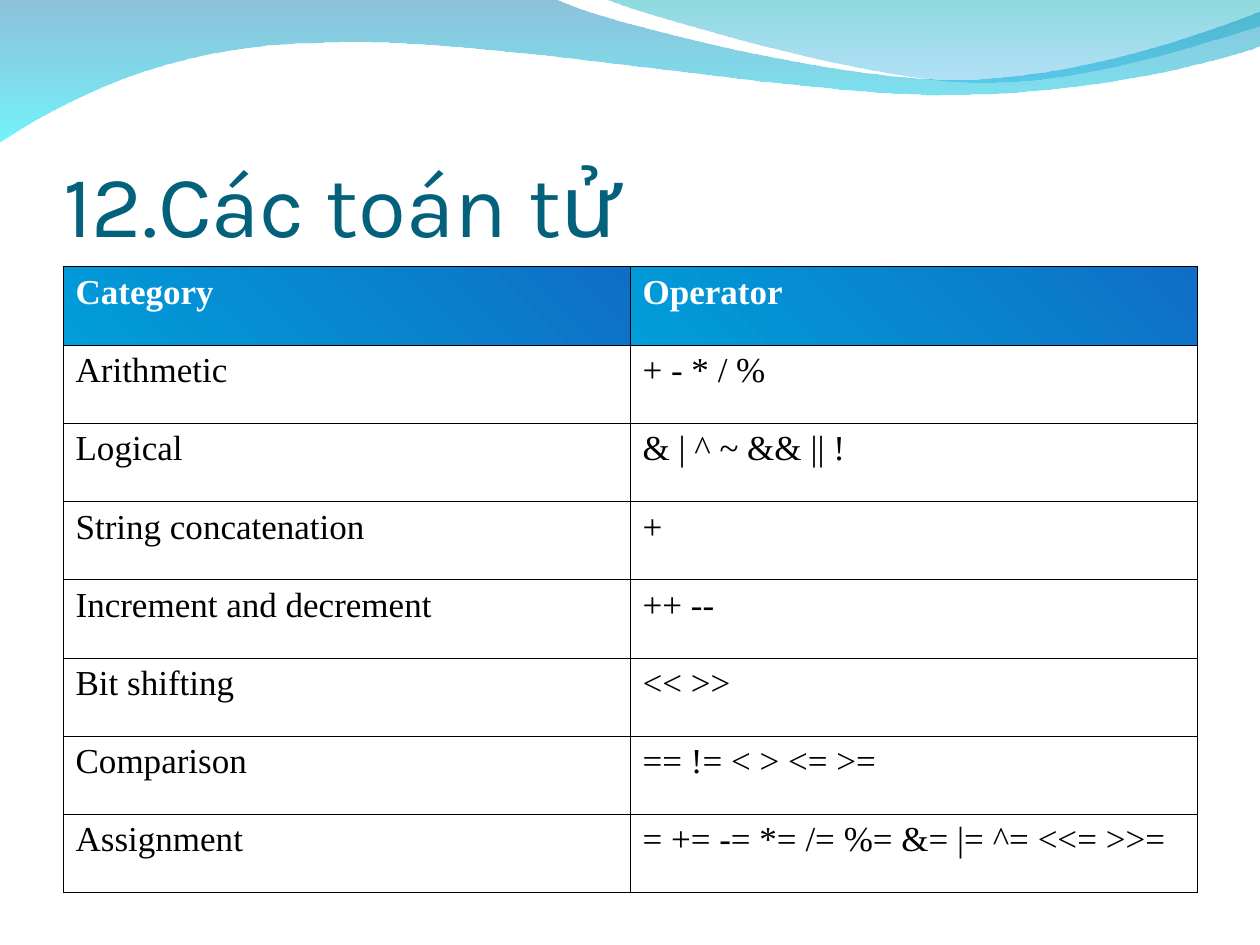
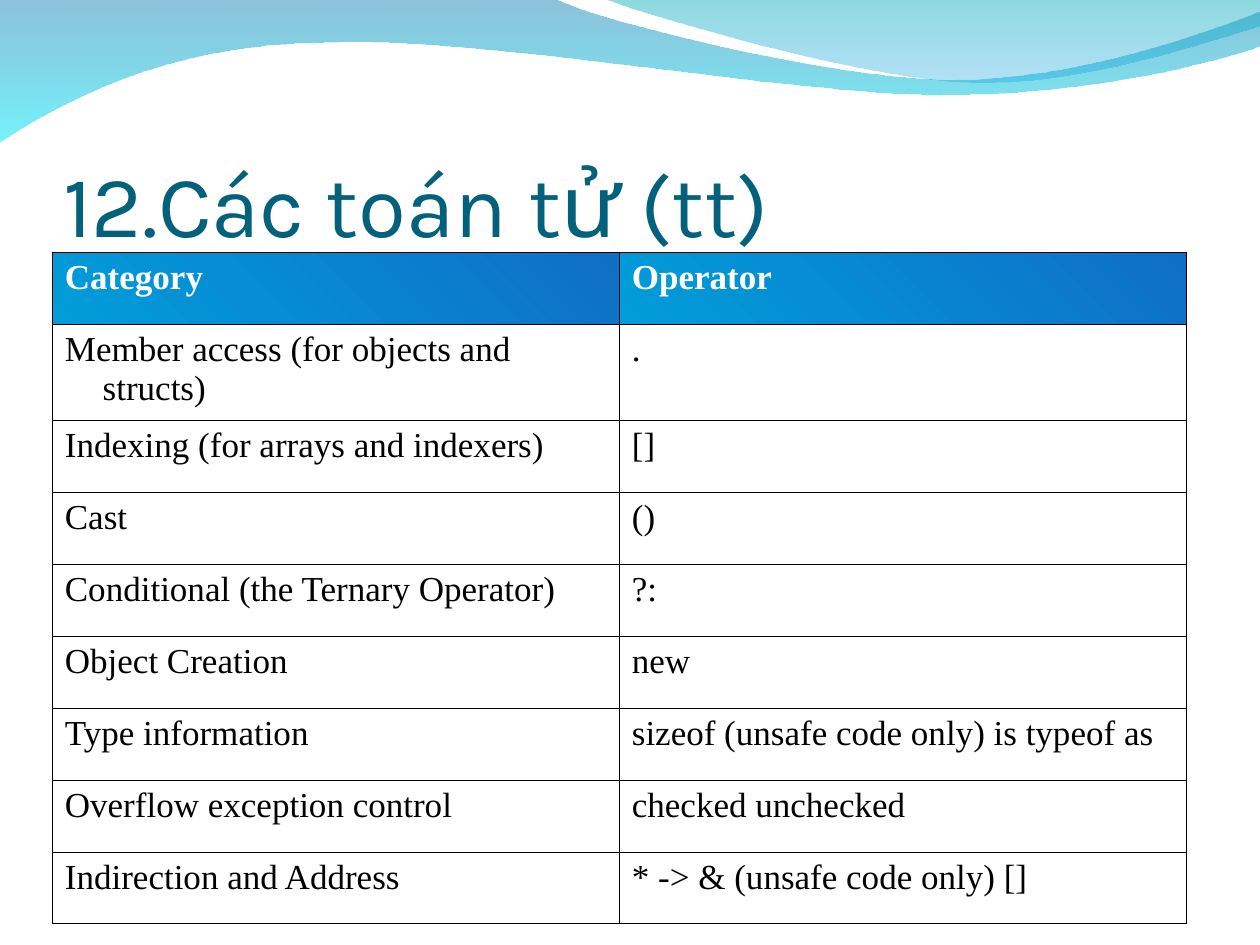
import pptx
import pptx.util
import pptx.dml.color
import pptx.enum.text
import pptx.oxml
import pptx.oxml.ns

COLORS = {
    "title": "04617B", "head_text": "FFFFFF", "text": "000000", "border": "000000",
    "head_dark": "0F6FC6", "head_light": "009DD9",
    "wave_blue": "0079AF", "wave_cyan": "00EBF8",
    "crest_teal": "00ADB6", "crest_sky": "009BE5",
}
COLUMNS, ROWS = 100, 75
NS = pptx.oxml.ns.nsdecls("a")

# Wave outlines in grid units: one point makes a line, three points make a curve
WAVE = [
    [(0, -0.1)],
    [(44, -0.1)],
    [(47.6, 1.7), (66.4, 6.3), (75.8, 6.3)],
    [(85.3, 6.3), (95.8, 2.6), (100, 0.9)],
    [(100.1, 3.6)],
    [(98.3, 4.4), (87, 7.6), (74.6, 7.5)],
    [(62.2, 7.5), (38.2, 2.8), (25.7, 3.4)],
    [(12.9, 3.5), (4.6, 8.3), (-0.1, 11.3)],
    [(0, -0.1)],
]
CREST = [
    [(47.9, -0.1)],
    [(50.9, 1.1), (68.2, 6.2), (76.9, 6.5)],
    [(85.6, 6.9), (96.1, 3.2), (100, 2.1)],
    [(100, 0)],
    [(47.9, -0.1)],
]

OPERATORS = [
    ("Category", "Operator"),
    ("Arithmetic", "+ - * / %"),
    ("Logical", "& | ^ ~ && || !"),
    ("String concatenation", "+"),
    ("Increment and decrement", "++ --"),
    ("Bit shifting", "<< >>"),
    ("Comparison", "== != < > <= >="),
    ("Assignment", "= += -= *= /= %= &= |= ^= <<= >>="),
]
MORE_OPERATORS = [
    ("Category", "Operator"),
    ("Member access (for objects and structs)", "."),
    ("Indexing (for arrays and indexers)", "[]"),
    ("Cast", "()"),
    ("Conditional (the Ternary Operator)", "?:"),
    ("Object Creation", "new"),
    ("Type information", "sizeof (unsafe code only) is typeof as"),
    ("Overflow exception control", "checked unchecked"),
    ("Indirection and Address", "* -> & (unsafe code only) []"),
]


def gradient(stops, angle):
    """Gradient fill element; each stop is a colour name and its opacity in percent."""
    last = len(stops) - 1
    marks = "".join(
        f'<a:gs pos="{100000 * i // last}"><a:srgbClr val="{COLORS[name]}">'
        f'<a:alpha val="{opacity * 1000}"/></a:srgbClr></a:gs>'
        for i, (name, opacity) in enumerate(stops))
    return pptx.oxml.parse_xml(
        f'<a:gradFill {NS} rotWithShape="1"><a:gsLst>{marks}</a:gsLst>'
        f'<a:lin ang="{angle * 60000}" scaled="0"/></a:gradFill>')


def bend(geometry, outline):
    """Join the three lines that stand for each curve into one Bezier segment."""
    lines = iter(list(geometry.iter(pptx.oxml.ns.qn("a:lnTo"))))
    for segment in outline[1:]:
        group = [next(lines) for _ in segment]
        if len(group) == 3:
            curve = pptx.oxml.parse_xml(f"<a:cubicBezTo {NS}/>")
            group[0].addprevious(curve)
            for line in group:
                curve.append(line[0])
                line.getparent().remove(line)


class Deck:
    def __init__(self):
        self.prs = pptx.Presentation()
        self.prs.slide_width = pptx.util.Inches(10)
        self.prs.slide_height = pptx.util.Inches(7.5)
        self.layout = self.prs.slide_layouts[5]
        self.s = None

    def x(self, columns):
        return round(self.prs.slide_width * columns / COLUMNS)

    def y(self, rows):
        return round(self.prs.slide_height * rows / ROWS)

    def slide(self):
        self.s = self.prs.slides.add_slide(self.layout)

    def run(self, p, text, font, size, color, bold=False):
        r = p.add_run()
        r.text = text
        r.font.name, r.font.size, r.font.bold = font, pptx.util.Pt(size), bold
        r.font.color.rgb = pptx.dml.color.RGBColor.from_string(COLORS[color])

    def layout_wave(self, outline, depth, stops):
        """Draw a wave and hand it to the layout, so that every slide shows it."""
        points = [(self.x(px), self.y(py)) for segment in outline for px, py in segment]
        builder = self.s.shapes.build_freeform(*points[0], scale=1.0)
        builder.add_line_segments(points[1:], close=True)
        sp = builder.convert_to_shape()
        sp.shadow.inherit = False
        sp.line.fill.background()
        geometry = sp.element.spPr.find(pptx.oxml.ns.qn("a:custGeom"))
        bend(geometry, outline)
        geometry.addnext(gradient(stops, 90))
        self.layout.shapes.element.insert(2 + depth, sp.element)

    def title(self, text):
        sp = self.s.shapes.title
        sp.left, sp.top, sp.width, sp.height = self.x(5), self.y(7.75), self.x(90), self.y(12.5)
        tf = sp.text_frame
        tf.word_wrap = True
        tf.auto_size = pptx.enum.text.MSO_AUTO_SIZE.NONE
        tf.vertical_anchor = pptx.enum.text.MSO_ANCHOR.BOTTOM
        tf.margin_left = tf.margin_right = tf.margin_bottom = 0
        p = tf.paragraphs[0]
        p.alignment = pptx.enum.text.PP_ALIGN.LEFT
        self.run(p, text, "Karla", 50, "title")

    def cell(self, cell, text, is_head):
        # Hanging indent and text
        p = cell.text_frame.paragraphs[0]
        hang = pptx.util.Inches(0.3)
        pPr = p._p.get_or_add_pPr()
        pPr.set("marL", str(hang))
        pPr.set("indent", str(-hang))
        self.run(p, text, "Times New Roman", 20, "head_text" if is_head else "text", is_head)
        # Borders, then fill
        tcPr = cell._tc.get_or_add_tcPr()
        for side in "LRTB":
            tcPr.append(pptx.oxml.parse_xml(
                f'<a:ln{side} {NS} w="{pptx.util.Pt(0.45)}"><a:solidFill>'
                f'<a:srgbClr val="{COLORS["border"]}"/></a:solidFill></a:ln{side}>'))
        if is_head:
            tcPr.append(gradient([("head_dark", 100), ("head_light", 100)], 135))
        else:
            cell.fill.background()

    def table(self, rows, left, top, heights):
        frame = self.s.shapes.add_table(len(rows), 2, self.x(left), self.y(top),
                                        self.x(90), self.y(sum(heights)))
        table = frame.table
        table.first_row = table.horz_banding = False
        for column in table.columns:
            column.width = self.x(45)
        for i, (texts, height) in enumerate(zip(rows, heights)):
            table.rows[i].height = self.y(height)
            for j, text in enumerate(texts):
                self.cell(table.cell(i, j), text, i == 0)


def main():
    deck = Deck()

    # Operators, with the waves shared by all slides
    deck.slide()
    deck.layout_wave(WAVE, 0, [("wave_blue", 45), ("wave_cyan", 55)])
    deck.layout_wave(CREST, 1, [("crest_teal", 45), ("crest_sky", 30)])
    deck.title("12.Các toán tử")
    deck.table(OPERATORS, 5, 21.17, [6.21] * len(OPERATORS))

    # Operators, continued
    deck.slide()
    deck.title("12.Các toán tử (tt)")
    deck.table(MORE_OPERATORS, 4.15, 20, [5.71, 7.65] + [5.71] * (len(MORE_OPERATORS) - 2))

    deck.prs.save("out.pptx")


if __name__ == "__main__":
    main()
